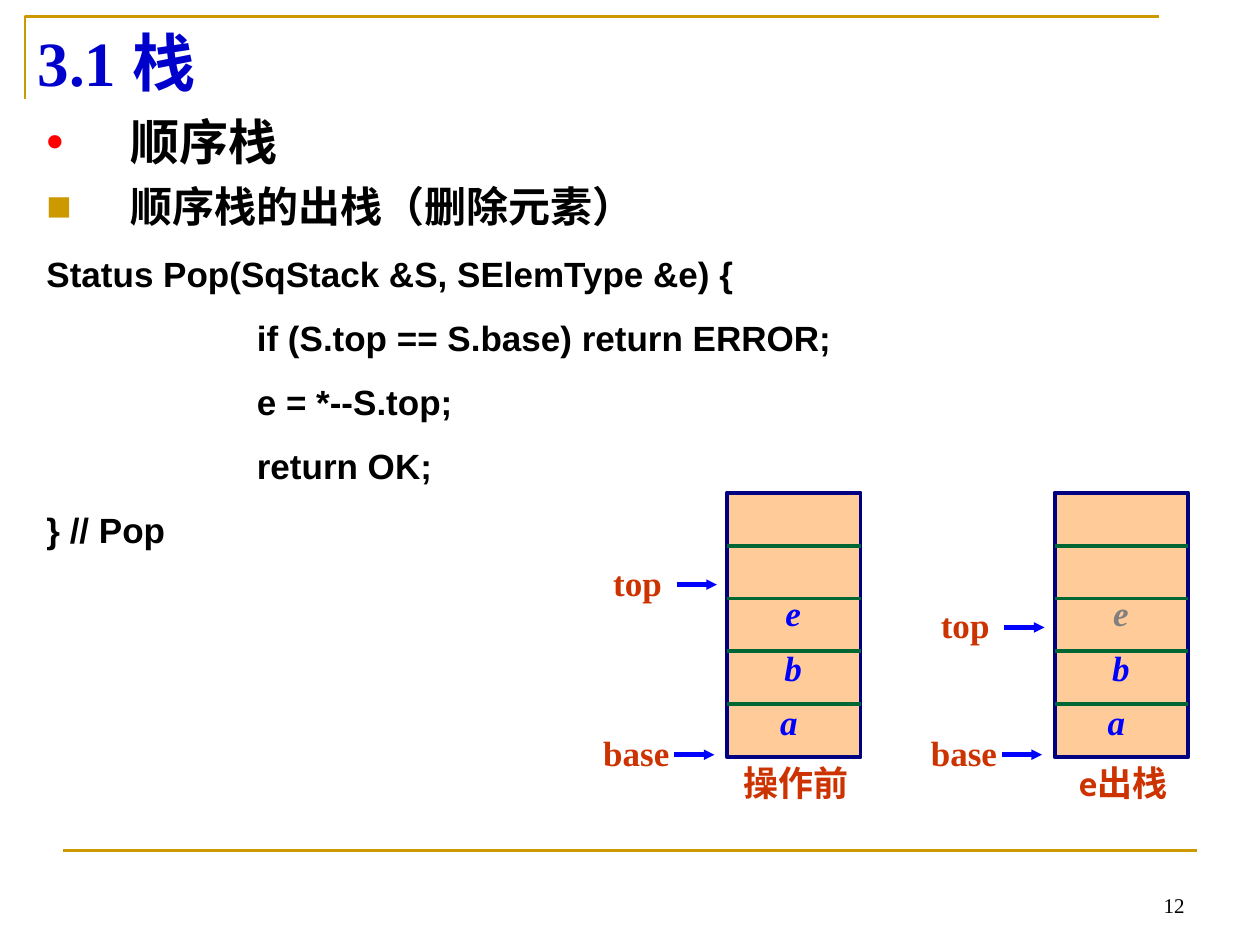
from lxml import etree
from pptx import Presentation
from pptx.dml.color import RGBColor
from pptx.enum import shapes, text
from pptx.oxml.ns import qn
from pptx.util import Inches, Pt

COLORS = {
    "gold": "CC9900", "black": "000000", "red": "FF0000", "title": "0000CC",
    "blue": "0000FF", "label": "CC3300", "cell": "FFCC99", "frame": "000080",
    "divider": "006633", "popped": "808080",
}
SERIF, SANS, CAPTION, CHINESE = "Times New Roman", "Arial", "Cabin", "Noto Sans CJK SC"
CODE = [
    ("Status Pop(SqStack &S, SElemType &e) {", 0),
    ("if (S.top == S.base) return ERROR;", 1.67),
    ("e = *--S.top;", 1.67),
    ("return OK;", 1.67),
    ("} // Pop", 0),
]


def color(name):
    """Return the named palette colour."""
    return RGBColor.from_string(COLORS[name])


def style(paragraph, size, font, color_name, bold=True, italic=False):
    """Format every run of a paragraph, with a Chinese companion font."""
    for run in paragraph.runs:
        run.font.size, run.font.name = Pt(size), font
        run.font.bold, run.font.italic = bold, italic
        run.font.color.rgb = color(color_name)
        east_asian = etree.SubElement(run._r.get_or_add_rPr(), qn("a:ea"))
        east_asian.set("typeface", CHINESE)


def add_text(slide, box, content, size, font, color_name, align="LEFT",
             anchor="MIDDLE", **emphasis):
    """Add a text box of uniformly formatted paragraphs."""
    shape = slide.shapes.add_textbox(*map(Inches, box))
    frame = shape.text_frame
    frame.word_wrap = True
    frame.vertical_anchor = getattr(text.MSO_ANCHOR, anchor)
    frame.text = content
    for paragraph in frame.paragraphs:
        paragraph.alignment = getattr(text.PP_ALIGN, align)
        style(paragraph, size, font, color_name, **emphasis)
    return frame


def add_line(slide, start, end, color_name, width, arrow=False):
    """Draw a straight line, optionally ending in a small arrowhead."""
    line = slide.shapes.add_connector(
        shapes.MSO_CONNECTOR.STRAIGHT, *map(Inches, (*start, *end)))
    line.line.color.rgb = color(color_name)
    line.line.width = Pt(width)
    if arrow:
        head = etree.SubElement(line.line._get_or_add_ln(), qn("a:tailEnd"))
        for key, value in (("type", "triangle"), ("w", "sm"), ("len", "sm")):
            head.set(key, value)
    etree.SubElement(line._element.spPr, qn("a:effectLst"))


def indent(paragraph, margin, hanging=0, bullet=None, bullet_color=None):
    """Set the paragraph margin and an optional coloured bullet."""
    properties = paragraph._p.get_or_add_pPr()
    properties.set("marL", str(Inches(margin)))
    properties.set("indent", str(-Inches(hanging)))
    if bullet:
        fill = etree.SubElement(properties, qn("a:buClr"))
        etree.SubElement(fill, qn("a:srgbClr")).set("val", COLORS[bullet_color])
        etree.SubElement(properties, qn("a:buFont")).set("typeface", SANS)
        etree.SubElement(properties, qn("a:buChar")).set("char", bullet)


def add_frame(slide, left, top, width, height):
    """Draw the corner rule, the footer rule and the page number."""
    builder = slide.shapes.build_freeform(Inches(left), Inches(top + height), scale=1.0)
    builder.add_line_segments(
        [(Inches(left), Inches(top)), (Inches(left + width), Inches(top))], close=False)
    corner = builder.convert_to_shape()
    corner.shadow.inherit = False
    corner.fill.background()
    corner.line.color.rgb = color("gold")
    corner.line.width = Pt(1.5)
    add_line(slide, (0.5, 6.75), (9.5, 6.75), "gold", 1.5)
    add_text(slide, (7.17, 6.83, 2.33, 0.5), "12", 12, SERIF, "black",
             align="RIGHT", anchor="BOTTOM", bold=False)


def add_body(slide, left, top, width, height):
    """Write the two bulleted headings and the code listing."""
    headings = [("顺序栈", 28, 33.5, 0, "•", "red"),
                ("顺序栈的出栈（删除元素）", 24, 28.5, 6, "■", "gold")]
    content = "\n".join([row[0] for row in headings] + [row[0] for row in CODE])
    frame = add_text(slide, (left, top, width, height), content, 20, SANS, "black",
                     anchor="TOP")
    for paragraph, (_, size, spacing, before, bullet, tint) in zip(frame.paragraphs, headings):
        indent(paragraph, 0.67, 0.67, bullet, tint)
        paragraph.line_spacing, paragraph.space_before = Pt(spacing), Pt(before)
        for run in paragraph.runs:
            run.font.size, run.font.name = Pt(size), CHINESE
    for paragraph, (_, margin) in zip(frame.paragraphs[len(headings):], CODE):
        indent(paragraph, margin)
        paragraph.line_spacing, paragraph.space_before = Pt(24), Pt(12.5)


def add_pointer(slide, name, left, y, width, tip):
    """Add a pointer label with its arrow into the stack."""
    add_line(slide, (tip - 0.32, y), (tip, y), "blue", 3, arrow=True)
    label = add_text(slide, (left, y - 0.24, width, 0.44), name, 20, SERIF, "label",
                     align="CENTER")
    label.margin_left = label.margin_right = 0


def add_stack(slide, left, top, width, height, top_y, first_color, caption):
    """Draw one five-cell stack with its elements, pointers and caption."""
    add_pointer(slide, "top", left - 1, top_y, 0.58, left - 0.08)
    add_pointer(slide, "base", left - 1.08, top + 2.08, 0.72, left - 0.1)
    body = slide.shapes.add_shape(
        shapes.MSO_SHAPE.RECTANGLE, *map(Inches, (left, top, width, height)))
    body.shadow.inherit = False
    body.fill.solid()
    body.fill.fore_color.rgb = color("cell")
    body.line.color.rgb = color("frame")
    body.line.width = Pt(2.25)
    for index in range(1, 5):
        y = top + height * index / 5
        add_line(slide, (left, y), (left + width, y), "divider", 2.25)
    elements = add_text(slide, (left + 0.25, top + 0.69, 0.55, 1.3), "e\nb\na ", 20, SERIF,
                        "blue", align="CENTER", anchor="TOP", italic=True)
    elements.margin_top = 0
    for paragraph in elements.paragraphs:
        paragraph.line_spacing = Pt(31)
    elements.paragraphs[0].runs[0].font.color.rgb = color(first_color)
    add_text(slide, (left - 0.08, top + 2.08, 1.25, 0.44), caption, 20, CAPTION, "label",
             align="CENTER")


def main():
    """Build and save the slide."""
    presentation = Presentation()
    presentation.slide_width, presentation.slide_height = Inches(10), Inches(7.5)
    slide = presentation.slides.add_slide(presentation.slide_layouts[6])
    add_frame(slide, 0.2, 0.13, 9, 0.66)
    add_text(slide, (0.2, 0.13, 9, 0.71), "3.1 栈", 36, SERIF, "title")
    add_body(slide, 0.27, 0.84, 9.29, 4.02)
    add_stack(slide, 5.77, 3.91, 1.06, 2.1, 4.64, "blue", "操作前")
    add_stack(slide, 8.37, 3.91, 1.06, 2.1, 4.98, "popped", "e出栈")
    presentation.save("out.pptx")


if __name__ == "__main__":
    main()
